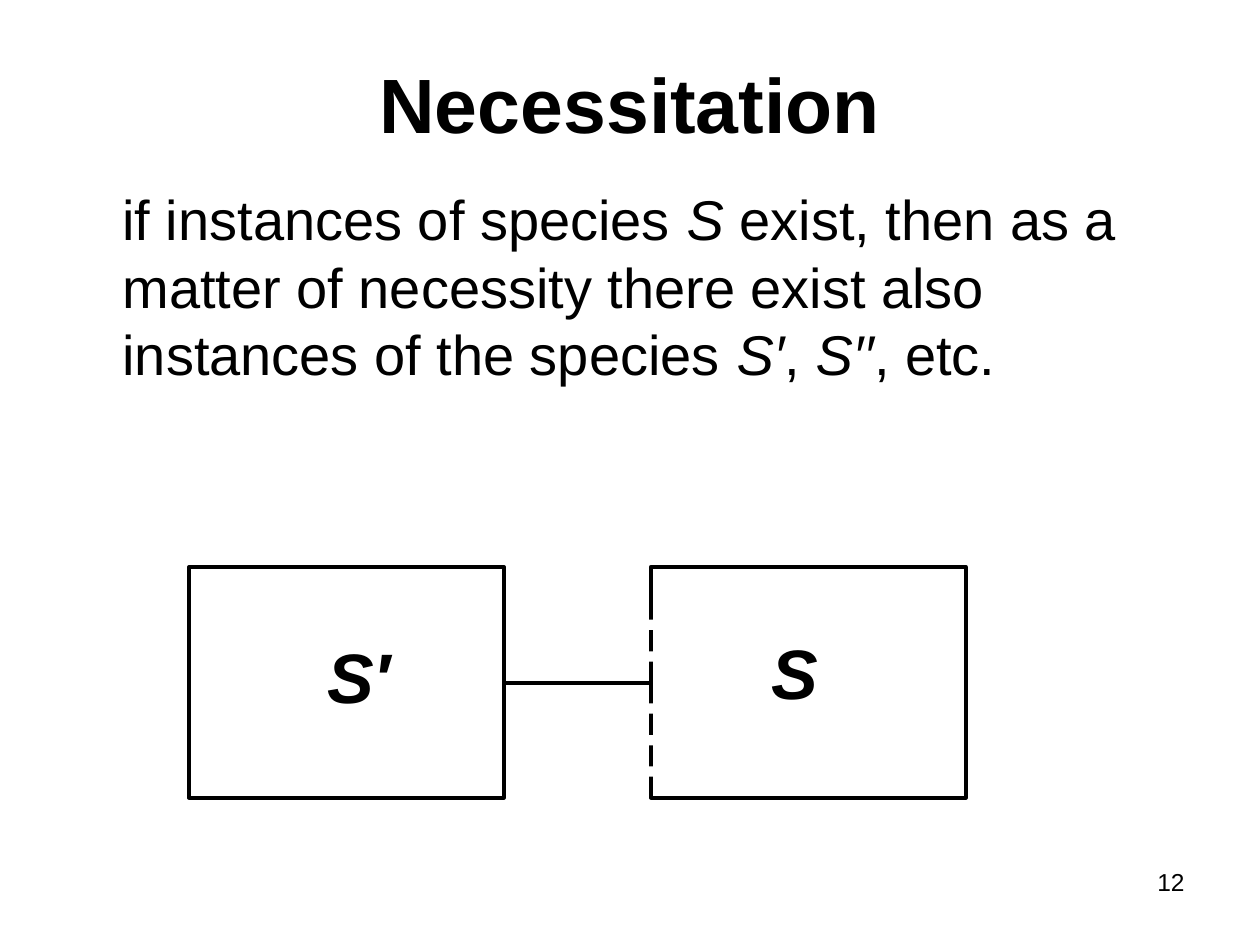
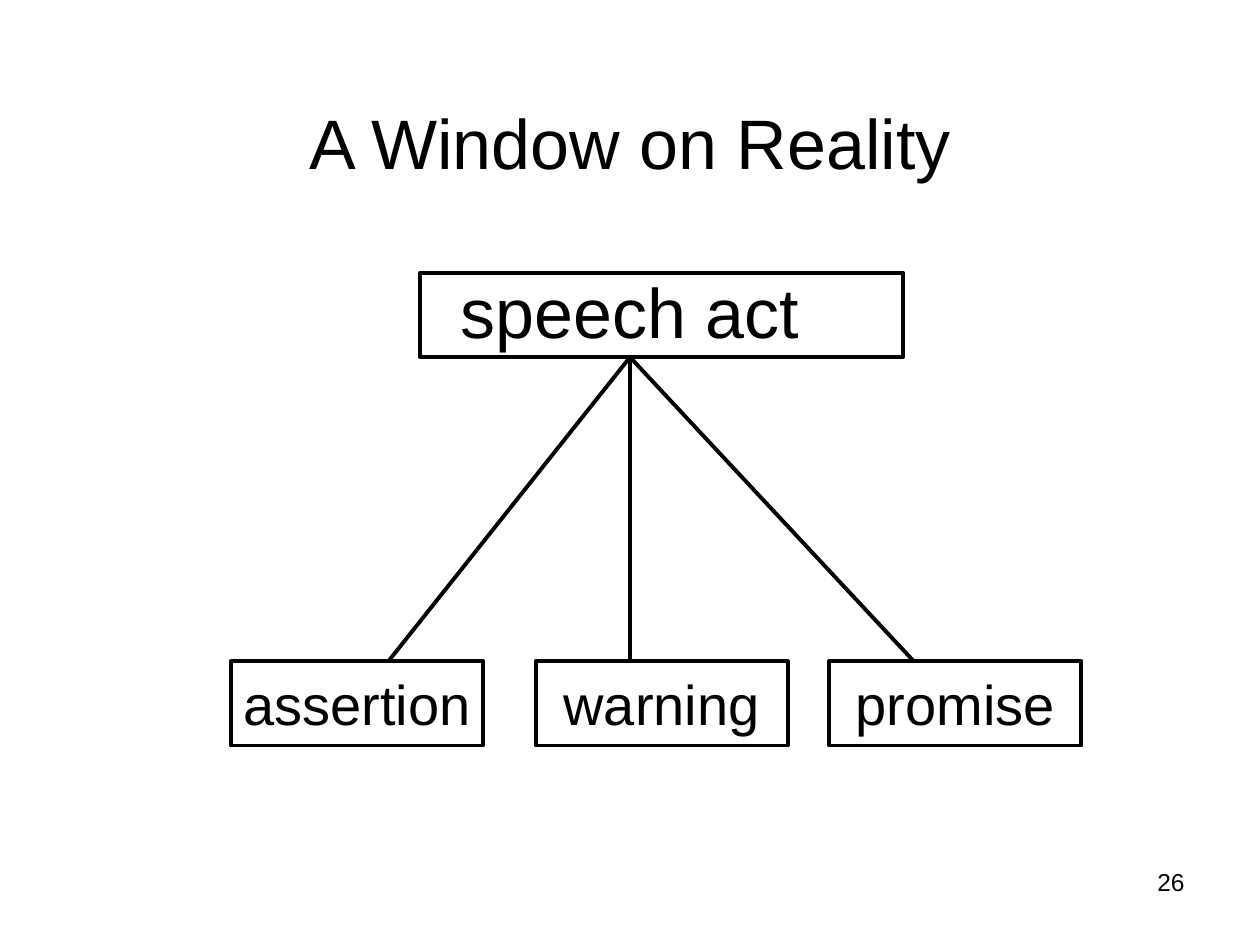
from lxml import etree
from pptx import Presentation, util as u
from pptx.dml.color import RGBColor
from pptx.enum import shapes, text
from pptx.oxml.ns import qn

COLOURS = {"ink": "000000", "paper": "FFFFFF"}
FONT = "Arial"
LINE_WIDTH = u.Pt(2.25)
INSETS = (0.25, 0.13, 0.25, 0.13)  # left, top, right, bottom in cm
LEFT, CENTER, RIGHT = text.PP_ALIGN.LEFT, text.PP_ALIGN.CENTER, text.PP_ALIGN.RIGHT
TOP, MIDDLE = text.MSO_ANCHOR.TOP, text.MSO_ANCHOR.MIDDLE


def colour(name):
    return RGBColor.from_string(COLOURS[name])


def write(box, content, size=32, bold=False, italic=False, align=LEFT,
          anchor=TOP, insets=INSETS):
    """Fill a shape with a string, or a list of (string, italic) spans."""
    frame = box.text_frame
    frame.word_wrap = True
    frame.vertical_anchor = anchor
    (frame.margin_left, frame.margin_top,
     frame.margin_right, frame.margin_bottom) = map(u.Cm, insets)
    para = frame.paragraphs[0]
    para.alignment = align
    spans = [(content, italic)] if isinstance(content, str) else content
    for words, slanted in spans:
        span = para.add_run()
        span.text = words
        font = span.font
        font.name, font.size = FONT, u.Pt(size)
        font.bold, font.italic = bold, slanted
        font.color.rgb = colour("ink")


def add_text(slide, content, left, top, width, height, **style):
    box = slide.shapes.add_textbox(*map(u.Cm, (left, top, width, height)))
    write(box, content, **style)


def add_box(slide, left, top, width, height, fill=None):
    """Outlined rectangle, or a borderless one when a fill is named."""
    box = slide.shapes.add_shape(shapes.MSO_SHAPE.RECTANGLE,
                                 *map(u.Cm, (left, top, width, height)))
    box.shadow.inherit = False
    if fill:
        box.fill.solid()
        box.fill.fore_color.rgb = colour(fill)
        box.line.fill.background()
    else:
        box.fill.background()
        box.line.color.rgb = colour("ink")
        box.line.width = LINE_WIDTH
    return box


def add_line(slide, start, end):
    line = slide.shapes.add_connector(shapes.MSO_CONNECTOR.STRAIGHT,
                                      *map(u.Cm, (*start, *end)))
    line.line.color.rgb = colour("ink")
    line.line.width = LINE_WIDTH
    etree.SubElement(line._element.spPr, qn("a:effectLst"))


def add_slide(deck, title, number, title_top, **title_style):
    """Blank slide with the shared title and page number."""
    slide = deck.slides.add_slide(deck.slide_layouts[6])
    add_text(slide, title, 1.27, title_top, 22.86, 2.62,
             align=CENTER, anchor=MIDDLE, **title_style)
    add_text(slide, str(number), 18.2, 17.35, 5.93, 1.32, size=14, align=RIGHT)
    return slide


def build_necessitation(deck):
    slide = add_slide(deck, "Necessitation", 12, 0.76, size=44, bold=True)
    add_text(slide, [
        ("if instances of species ", False), ("S", True),
        (" exist, then as a matter of necessity there exist also "
         "instances of the species ", False),
        ("S′", True), (", ", False), ("S′′", True), (", etc.", False),
    ], 2.22, 3.6, 21.91, 5.5)

    # Two species joined by a line
    top, width, height = 11.43, 6.35, 4.65
    needed_left, dependent_left = 3.81, 13.12
    for left in (needed_left, dependent_left):
        add_box(slide, left, top, width, height)
    middle = 13.76
    add_line(slide, (needed_left + width, middle), (dependent_left, middle))

    # Gaps that make the facing edge of S dashed
    for gap_top in (12.49, 13.13, 14.18, 14.82, 15.45):
        add_box(slide, dependent_left - 0.22, gap_top, 0.42, 0.21, fill="paper")

    # Species names
    for name, left, label_top in (("S", 15.31, 12.57), ("S′", 6.35, 12.65)):
        add_text(slide, name, left, label_top, 3.6, 1.96,
                 size=40, bold=True, italic=True)


def build_window(deck):
    slide = add_slide(deck, "A Window on Reality", 26, 1.55, size=40)

    # Branches from the general act to its kinds
    parent_top, kind_top, height = 5.5, 13.33, 1.7
    for end in (7.83, 18.42, 12.7):
        add_line(slide, (12.7, parent_top + height), (end, kind_top))

    # General act, its name set left of the middle
    parent = add_box(slide, 8.47, parent_top, 9.74, height)
    write(parent, "speech act", size=40, align=CENTER, anchor=MIDDLE,
          insets=(0, 0, 1.28, 0.2))

    # Kinds of act
    for name, left in (("assertion", 4.66), ("warning", 10.8), ("promise", 16.72)):
        kind = add_box(slide, left, kind_top, 5.08, height)
        write(kind, name, align=CENTER, anchor=MIDDLE, insets=(0, 0, 0, 0))


def main():
    deck = Presentation()
    deck.slide_width, deck.slide_height = u.Cm(25.4), u.Cm(19.05)
    build_necessitation(deck)
    build_window(deck)
    deck.save("out.pptx")


if __name__ == "__main__":
    main()
